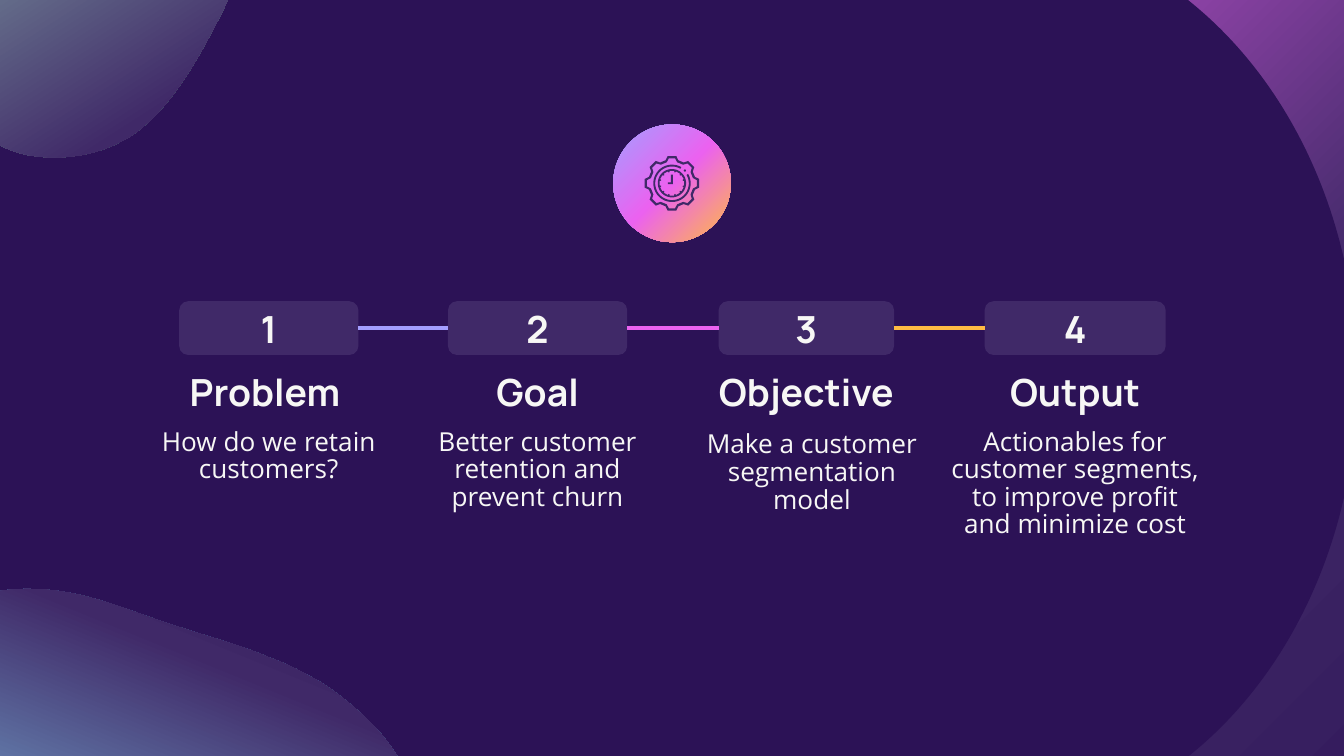
from collections import namedtuple
from itertools import pairwise
from math import cos, radians, sin

from pptx import Presentation
from pptx.dml.color import RGBColor
from pptx.enum.shapes import MSO_CONNECTOR as Link, MSO_SHAPE as Preset
from pptx.enum.text import MSO_ANCHOR as Anchor, MSO_AUTO_SIZE as AutoSize, PP_ALIGN as Align
from pptx.oxml import parse_xml
from pptx.oxml.ns import nsdecls, qn
from pptx.util import Pt

NIGHT, PLUM, CHALK = "2C1256", "402968", "F7F7F5"
LILAC, PINK, AMBER = "A49EFF", "EB62F0", "FFBB43"
HEADING_FONT, BODY_FONT = "Manrope", "Open Sans"

# Shifts are measured from the column's own centre and row
Step = namedtuple("Step", "badge_w heading heading_w heading_dx body body_w body_dx body_dy")
STEPS = [
    Step(96, "Problem", 108, -2, "How do we retain customers?", 139, 0, 0),
    Step(96, "Goal", 96, 0, "Better customer retention and prevent churn", 156, 0, 0),
    Step(94, "Objective", 119, 0, "Make a customer segmentation model", 139, 3, 1.5),
    Step(97, "Output", 97, 0,
         "Actionables for customer segments, to improve profit and minimize cost", 149, 0, 0),
]

# Cubic curves around each blob's centre: start, then control, control, end
BOTTOM_BLOB = [
    (-70, 51), (-63, 54), (-56, 56), (-49, 56), (-29, 59), (-11, 54), (13, 56),
    (38, 57), (69, 66), (92, 60), (117, 55), (134, 36), (132, 15),
    (130, -6), (107, -29), (84, -44), (75, -49), (66, -54), (57, -57),
    (41, -64), (25, -68), (10, -73), (-13, -80), (-34, -90), (-57, -93),
    (-80, -96), (-105, -93), (-114, -80), (-122, -67), (-114, -45), (-111, -25),
    (-109, -5), (-111, 13), (-101, 28), (-94, 38), (-83, 46), (-70, 51),
]
TOP_BLOB = [
    (56, 65), (77, 51), (91, 26), (102, 5), (114, -18), (121, -36), (116, -46),
    (111, -57), (93, -59), (78, -62), (63, -65), (51, -69), (31, -73),
    (11, -77), (-17, -81), (-45, -70), (-51, -67), (-58, -64), (-64, -60),
    (-84, -47), (-103, -26), (-113, -9), (-126, 15), (-125, 35), (-108, 41),
    (-92, 48), (-62, 41), (-46, 45), (-30, 48), (-27, 63), (-12, 70),
    (3, 78), (32, 79), (54, 66),
]


def color(hex_code):
    return RGBColor.from_string(hex_code)


def paint(shape, fill):
    shape.shadow.inherit = False
    shape.fill.solid()
    shape.fill.fore_color.rgb = color(fill)
    shape.line.fill.background()


def paint_gradient(shape, stops, clockwise):
    paint(shape, stops[0][1])
    shape.fill.gradient()
    shape.fill.gradient_angle = 360 - clockwise
    stop_list = shape._element.spPr.find(".//" + qn("a:gsLst"))
    for old_stop in list(stop_list):
        stop_list.remove(old_stop)
    for percent, hex_code in stops:
        stop_list.append(parse_xml(
            f'<a:gs {nsdecls("a")} pos="{percent * 1000}"><a:srgbClr val="{hex_code}"/></a:gs>'))


def add_preset(shapes, preset, left, top, width, height):
    return shapes.add_shape(preset, Pt(left), Pt(top), Pt(width), Pt(height))


def add_outline(shapes, center, *contours):
    """Freeform from closed contours whose points are relative to the centre."""
    placed = [[(Pt(center[0] + x), Pt(center[1] + y)) for x, y in contour]
              for contour in contours]
    builder = shapes.build_freeform(*placed[0][0])
    for number, contour in enumerate(placed):
        if number:
            builder.move_to(*contour[0])
        builder.add_line_segments(contour[1:], close=True)
    return builder.convert_to_shape()


def write(shape, text, size, font, bold, anchor):
    frame = shape.text_frame
    frame.text = text
    frame.word_wrap = True
    frame.auto_size = AutoSize.NONE
    frame.vertical_anchor = anchor
    frame.margin_left = frame.margin_right = frame.margin_top = frame.margin_bottom = Pt(7.2)
    paragraph = frame.paragraphs[0]
    paragraph.alignment = Align.CENTER
    for run in paragraph.runs:
        run.font.size, run.font.name, run.font.bold = Pt(size), font, bold
        run.font.color.rgb = color(CHALK)
    return paragraph


def polar(radius, degrees):
    return radius * sin(radians(degrees)), -radius * cos(radians(degrees))


def arc(radius, start=0, end=360):
    return [polar(radius, start + (end - start) * i / 48) for i in range(49)]


def toothed(count, tip, tip_half, base, base_half):
    profile = [(base, -base_half), (tip, -tip_half), (tip, tip_half), (base, base_half)]
    return [polar(radius, tooth * 360 / count + turn)
            for tooth in range(count) for radius, turn in profile]


def bezier(points, steps=12):
    outline = [points[0]]
    for i in range(0, len(points) - 1, 3):
        a, b, c, d = points[i:i + 4]
        for t in (n / steps for n in range(1, steps + 1)):
            u = 1 - t
            outline.append(tuple(u**3 * p + 3 * u * u * t * q + 3 * u * t * t * r + t**3 * s
                                 for p, q, r, s in zip(a, b, c, d)))
    return outline


def add_blob(shapes, center, curve, rotation, stops, clockwise):
    """The outline is turned back, so that the shape's rotation also turns its gradient."""
    c, s = cos(radians(rotation)), sin(radians(rotation))
    upright = [(x * c + y * s, y * c - x * s) for x, y in bezier(curve)]
    blob = add_outline(shapes, center, upright)
    blob.rotation = rotation
    paint_gradient(blob, stops, clockwise)


def add_backdrop(slide):
    slide.background.fill.solid()
    slide.background.fill.fore_color.rgb = color(NIGHT)
    glow = add_preset(slide.shapes, Preset.RECTANGLE, 524, -183, 298, 705)
    paint_gradient(glow, [(0, PINK), (53, PLUM), (100, NIGHT)], 45)
    glow.line.color.rgb = color(NIGHT)
    glow.line.width = Pt(0.75)
    paint(add_preset(slide.shapes, Preset.OVAL, 322.5, -40.3, 404.6, 486), NIGHT)
    add_blob(slide.shapes, (84, 408), BOTTOM_BLOB, 202.2,
             [(0, "8EE6FF"), (68, PLUM), (100, NIGHT)], 90)
    add_blob(slide.shapes, (18, 7), TOP_BLOB, 147.4,
             [(0, "A7ECC8"), (71, PLUM), (100, NIGHT)], 270)


def add_gear_emblem(slide, left, top, size):
    disc = add_preset(slide.shapes, Preset.OVAL, left, top, size, size)
    paint_gradient(disc, [(0, LILAC), (50, PINK), (100, AMBER)], 45)
    center = (left + size / 2, top + size / 2)
    icon = slide.shapes.add_group_shape().shapes
    parts = [
        # Gear rim, open ring, clock face with ticks, clock hands
        [toothed(8, 14.8, 9, 12.8, 15.5), toothed(8, 13.5, 7, 11.6, 14)],
        [arc(10, 60, 390) + arc(9, 390, 60)],
        [arc(7.6), toothed(12, 6.7, 10, 6, 13)],
        [[(-0.5, -4.6), (0.5, -4.6), (0.5, 0.5), (-2.2, 0.5), (-2.2, -0.5), (-0.5, -0.5)]],
    ]
    for contours in parts:
        paint(add_outline(icon, center, *contours), PLUM)
    paint(add_preset(icon, Preset.OVAL, center[0] + 6.3, center[1] - 7.4, 1.2, 1.2), PLUM)


def add_step(slide, number, step, center, top):
    # Number badge
    badge = add_preset(slide.shapes, Preset.ROUNDED_RECTANGLE,
                       center - step.badge_w / 2, top, step.badge_w, 28.8)
    badge.adjustments[0] = 0.167
    paint(badge, PLUM)
    write(badge, str(number), 20, HEADING_FONT, True, Anchor.MIDDLE)

    # Heading; the first one takes the title placeholder
    heading = slide.shapes.title if number == 1 else slide.shapes.add_textbox(0, 0, 0, 0)
    heading.left, heading.top = Pt(center + step.heading_dx - step.heading_w / 2), Pt(top + 33.8)
    heading.width, heading.height = Pt(step.heading_w), Pt(28.8)
    write(heading, step.heading, 20, HEADING_FONT, True, Anchor.MIDDLE)

    # Description
    body = slide.shapes.add_textbox(Pt(center + step.body_dx - step.body_w / 2),
                                    Pt(top + 61.2 + step.body_dy), Pt(step.body_w), Pt(46.8))
    write(body, step.body, 14, BODY_FONT, False, Anchor.TOP).line_spacing = 0.88
    return badge


def add_timeline(slide, left, top, pitch):
    badges = [add_step(slide, i + 1, step, left + i * pitch, top)
              for i, step in enumerate(STEPS)]
    for (start, end), hex_code in zip(pairwise(badges), (LILAC, PINK, AMBER)):
        middle = start.top + start.height // 2
        link = slide.shapes.add_connector(Link.STRAIGHT, start.left + start.width, middle,
                                          end.left, middle)
        link.line.color.rgb = color(hex_code)
        link.line.width = Pt(2.25)
        link._element.spPr.append(parse_xml(f'<a:effectLst {nsdecls("a")}/>'))


def main():
    deck = Presentation()
    deck.slide_width, deck.slide_height = Pt(720), Pt(405)
    slide = deck.slides.add_slide(deck.slide_layouts[5])
    add_backdrop(slide)
    add_gear_emblem(slide, 328.5, 66.7, 63)
    add_timeline(slide, left=144, top=161.4, pitch=144)
    deck.save("out.pptx")


if __name__ == "__main__":
    main()
